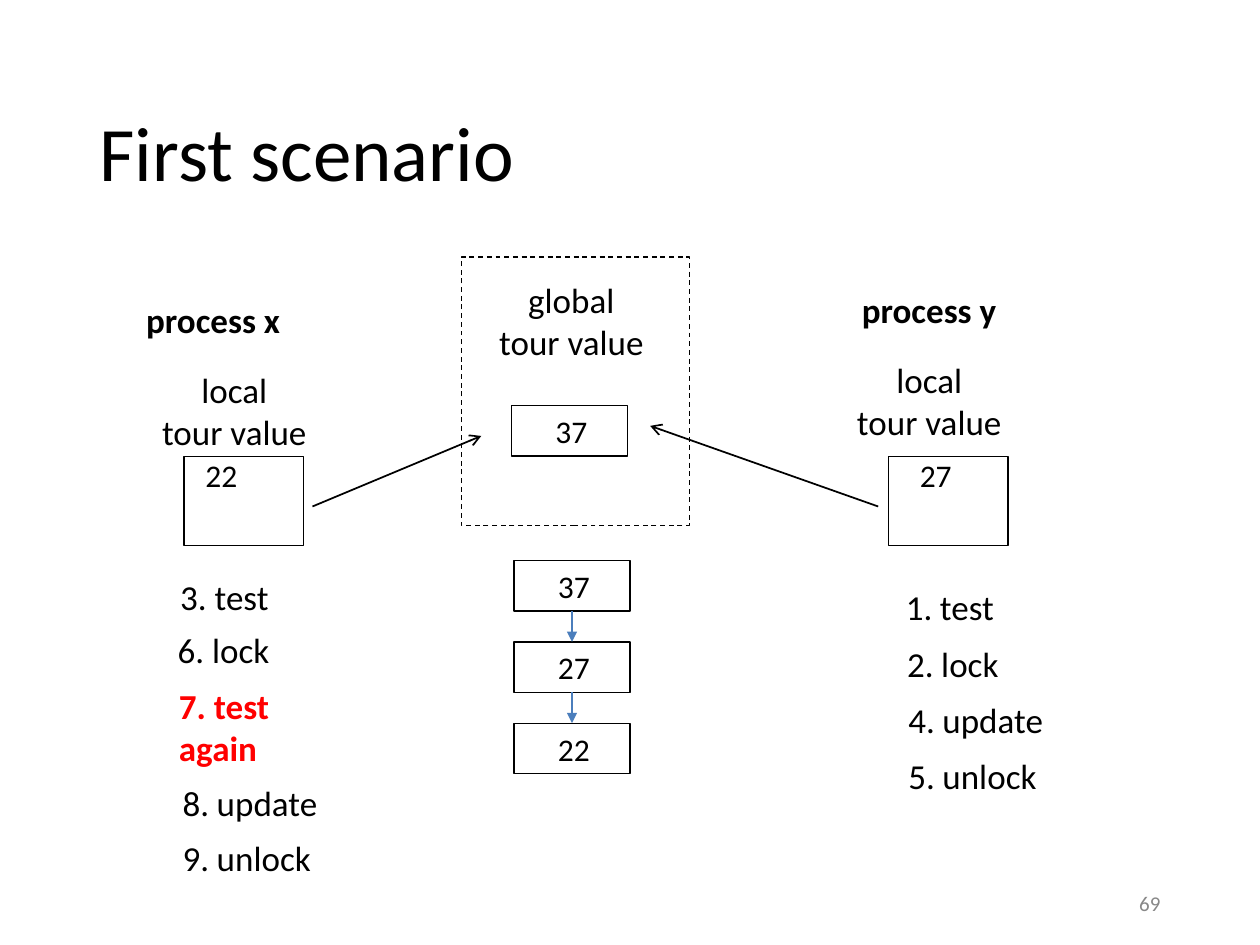
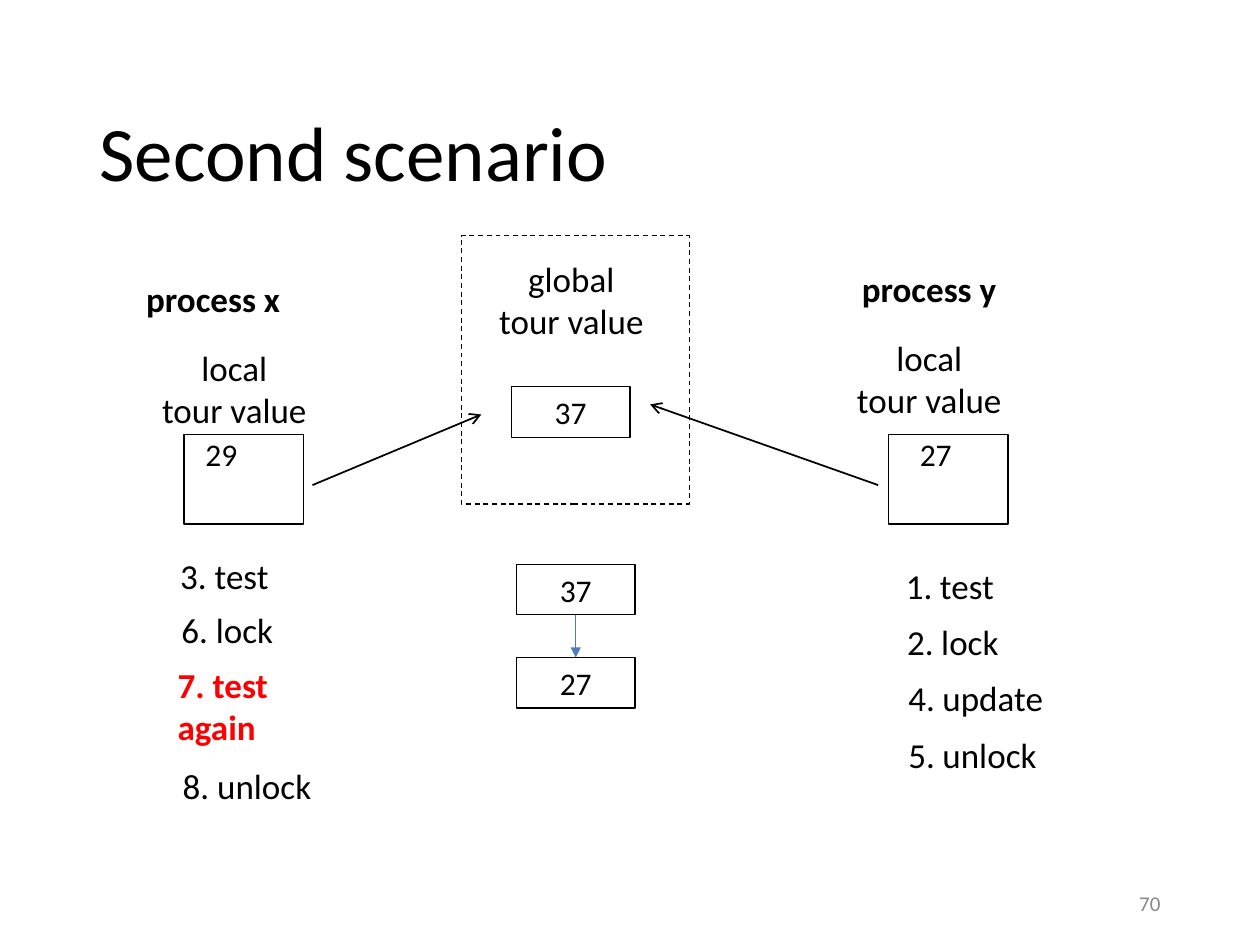
from pptx import Presentation
from pptx.dml.color import RGBColor
from pptx.enum.dml import MSO_LINE
from pptx.enum.shapes import MSO_CONNECTOR as Connector, MSO_SHAPE as Shape
from pptx.enum.text import MSO_ANCHOR as Anchor, PP_ALIGN as Align
from pptx.oxml.ns import qn
from pptx.util import Inches, Pt
from lxml import etree

COLORS = {"ink": "000000", "alert": "FF0000", "number": "888888", "link": "4B7EBC"}
FONT = "Calibri"
BOX_HEIGHT = 0.4

# Each step: text, left indent, space before, first number (None when typed in)
STEPS_Y = [("test", 0.29, 0, 1), ("lock", 0.3, 8.1, 1),
           ("update", 0.31, 8.1, 4), ("unlock", 0.31, 8.1, 4)]

SCENARIOS = [
    {"title": "First scenario", "number": "69", "top": 2.04, "local_x": "22",
     "steps_x": [("3. test", 0.03, 0, None), ("6. lock", 0.01, 6.2, None),
                 ("7. test\nagain", 0.02, 7.7, None),
                 ("update", 0.32, 7.7, 8), ("unlock", 0.32, 7.2, 8)],
     "global_top": 1.18, "box_width": 0.92, "value_indent": 0.03,
     "history": ["37", "27", "22"], "history_at": (4.08, 4.45), "pitch": 0.645},
    {"title": "Second scenario", "number": "70", "top": 1.87, "local_x": "29",
     "steps_x": [("3. test", 0.03, 0, None), ("6. lock", 0.04, 7.2, None),
                 ("7. test\nagain", 0.01, 7.2, None),
                 ("8. unlock", 0.05, 9.9, None)],
     "global_top": 1.2, "box_width": 0.94, "value_indent": 0,
     "history": ["37", "27"], "history_at": (4.1, 4.48), "pitch": 0.74},
]


def color(name):
    return RGBColor.from_string(COLORS[name])


def clear_frame(shape):
    frame = shape.text_frame
    frame.word_wrap = True
    frame.vertical_anchor = Anchor.TOP
    frame.margin_left = frame.margin_right = 0
    frame.margin_top = frame.margin_bottom = 0
    return frame


def add_text_box(slide, left, top, width, height):
    return clear_frame(slide.shapes.add_textbox(
        Inches(left), Inches(top), Inches(width), Inches(height)))


def write(frame, text, size=20, bold=False, ink="ink", align=Align.LEFT,
          indent=0, before=0):
    """Fill the first paragraph, or add one when it is already used."""
    paragraph = frame.paragraphs[0]
    if paragraph.runs:
        paragraph = frame.add_paragraph()
    paragraph.alignment = align
    paragraph.space_before = Pt(before)
    paragraph.line_spacing = 1.0
    properties = paragraph._p.get_or_add_pPr()
    properties.set("marL", str(Inches(indent)))
    properties.set("indent", "0")
    for row, line in enumerate(text.split("\n")):
        if row:
            paragraph.add_line_break()
        run = paragraph.add_run()
        run.text = line
        run.font.name = FONT
        run.font.size = Pt(size)
        run.font.bold = bold
        run.font.color.rgb = color(ink)
    return properties


def add_box(slide, left, top, width, height):
    box = slide.shapes.add_shape(Shape.RECTANGLE, Inches(left), Inches(top),
                                 Inches(width), Inches(height))
    box.shadow.inherit = False
    box.fill.background()
    box.line.color.rgb = color("ink")
    box.line.width = Pt(0.72)
    return box


def add_value_box(slide, left, top, width, value, indent):
    box = add_box(slide, left, top, width, BOX_HEIGHT)
    frame = clear_frame(box)
    frame.vertical_anchor = Anchor.MIDDLE
    write(frame, value, size=18, align=Align.CENTER, indent=indent)
    return box


def add_arrow(slide, start, end, ink, width, head):
    arrow = slide.shapes.add_connector(
        Connector.STRAIGHT, *[Inches(length) for length in (*start, *end)])
    arrow.line.color.rgb = color(ink)
    arrow.line.width = Pt(width)
    line = arrow.line._get_or_add_ln()
    etree.SubElement(line, qn("a:tailEnd"), type=head, w="med", len="med")
    etree.SubElement(arrow._element.spPr, qn("a:effectLst"))
    return arrow


def add_title(slide, title):
    frame = add_text_box(slide, 0.79, 0.83, 8.43, 0.94)
    write(frame, title, size=44)


def add_slide_number(slide, number):
    frame = add_text_box(slide, 8.9, 7.07, 0.31, 0.19)
    write(frame, number, size=12, ink="number", align=Align.RIGHT)


def add_steps(slide, left, top, width, height, steps):
    frame = add_text_box(slide, left, top, width, height)
    for text, indent, before, first in steps:
        again = "again" in text
        properties = write(frame, text, bold=again, ink="alert" if again else "ink",
                           indent=indent, before=before)
        if first:
            properties.set("indent", str(Inches(-0.27)))
            numbering = etree.SubElement(properties, qn("a:buAutoNum"),
                                         type="arabicPeriod")
            if first > 1:
                numbering.set("startAt", str(first))


def add_process(slide, left, top, width, name, name_indent, local_indent):
    """Process name above the caption of its local value."""
    frame = add_text_box(slide, left, top, width, 1.19)
    write(frame, name, bold=True, indent=name_indent)
    write(frame, "local\ntour value", align=Align.CENTER, indent=local_indent,
          before=15.7)


def add_local_value(slide, left, top, value, indent):
    box = add_box(slide, left, top, 0.95, 0.71)
    write(clear_frame(box), value, size=18, indent=indent)


def add_global_area(slide, left, top, scenario):
    area = add_box(slide, left, top, 1.81, 2.13)
    area.line.dash_style = MSO_LINE.DASH
    caption = add_text_box(slide, left + 0.29, top + 0.17, 1.17, 0.64)
    write(caption, "global\ntour value", align=Align.CENTER)
    add_value_box(slide, left + 0.4, top + scenario["global_top"],
                  scenario["box_width"], "37", scenario["value_indent"])


def add_history(slide, left, top, scenario):
    """Successive global values, each joined to the next."""
    width, pitch = scenario["box_width"], scenario["pitch"]
    boxes = [add_value_box(slide, left, top + row * pitch, width, value,
                           scenario["value_indent"])
             for row, value in enumerate(scenario["history"])]
    for upper, lower in zip(boxes, boxes[1:]):
        arrow = add_arrow(slide, (left, top), (left, top + pitch), "link", 0.75,
                          "triangle")
        arrow.begin_connect(upper, 2)
        arrow.end_connect(lower, 0)


def add_scenario(presentation, scenario):
    slide = presentation.slides.add_slide(presentation.slide_layouts[6])
    top = scenario["top"]
    add_title(slide, scenario["title"])
    add_global_area(slide, 3.66, top, scenario)
    # Process x
    add_process(slide, 1.15, top + 0.33, 1.3, "process x", 0.01, 0.12)
    add_local_value(slide, 1.46, top + 1.58, scenario["local_x"], 0.17)
    add_steps(slide, 1.4, top + 2.53, 1.42, 2.04, scenario["steps_x"])
    # Process y
    add_process(slide, 6.79, top + 0.25, 1.17, "process y", 0.05, 0)
    add_local_value(slide, 7.05, top + 1.58, "27", 0.25)
    add_steps(slide, 7.17, top + 2.61, 1.12, 1.65, STEPS_Y)
    # Both processes reach for the global value
    for start, end in (((2.48, 1.98), (3.82, 1.42)), ((6.97, 1.98), (5.16, 1.34))):
        add_arrow(slide, (start[0], top + start[1]), (end[0], top + end[1]),
                  "ink", 1, "arrow")
    add_history(slide, *scenario["history_at"], scenario)
    add_slide_number(slide, scenario["number"])


def main():
    presentation = Presentation()
    presentation.slide_width = Inches(10)
    presentation.slide_height = Inches(7.5)
    for scenario in SCENARIOS:
        add_scenario(presentation, scenario)
    presentation.save("out.pptx")


if __name__ == "__main__":
    main()
